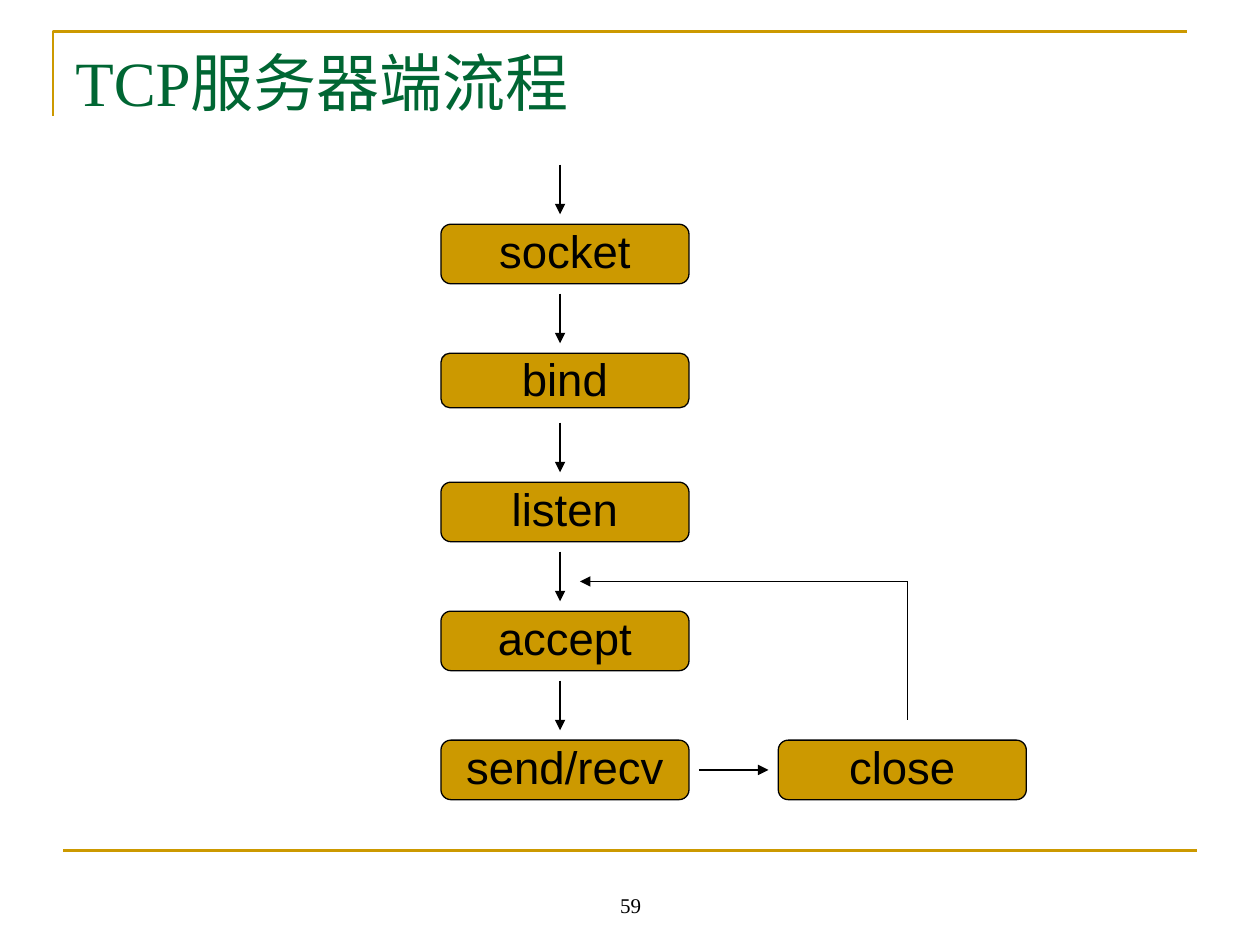
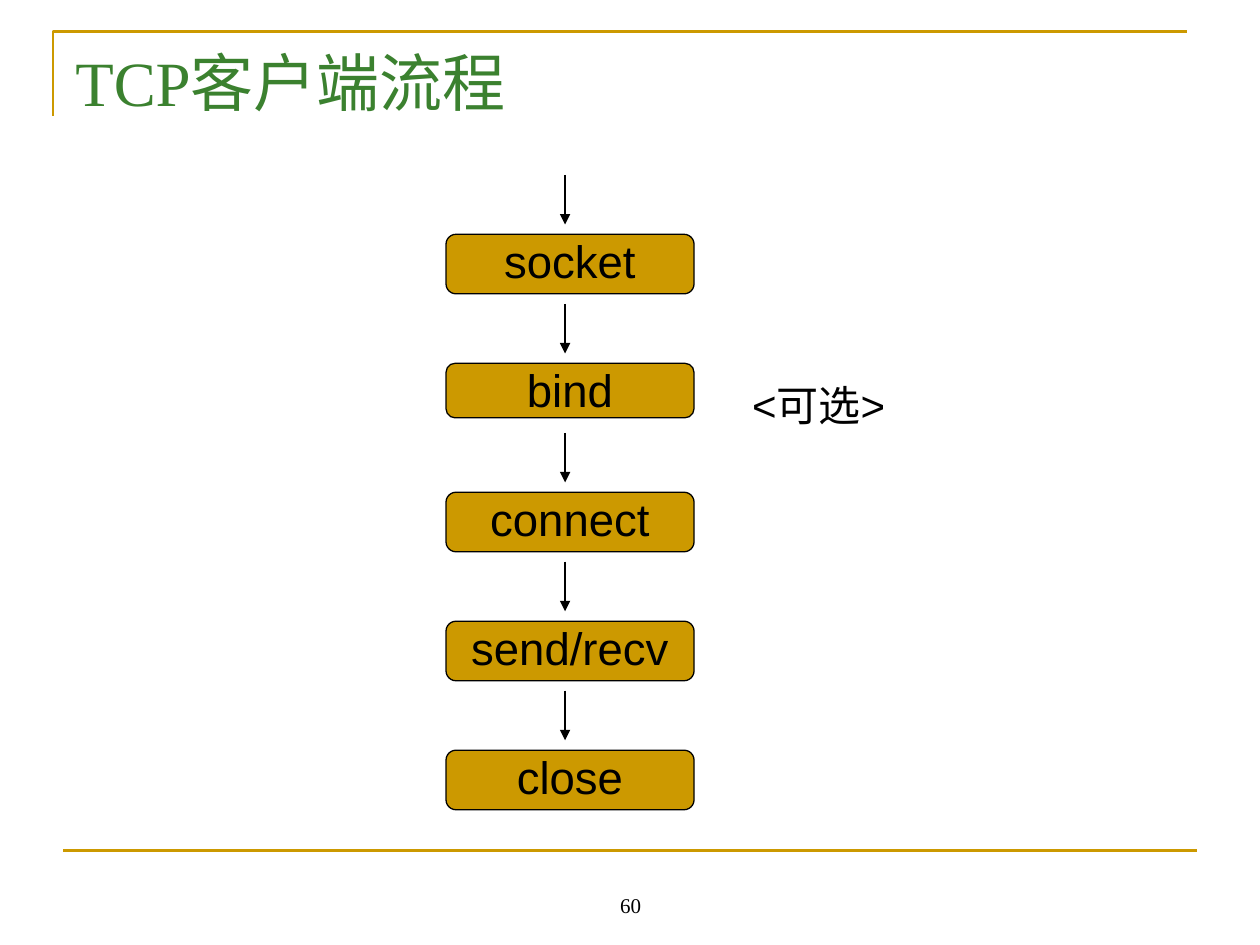
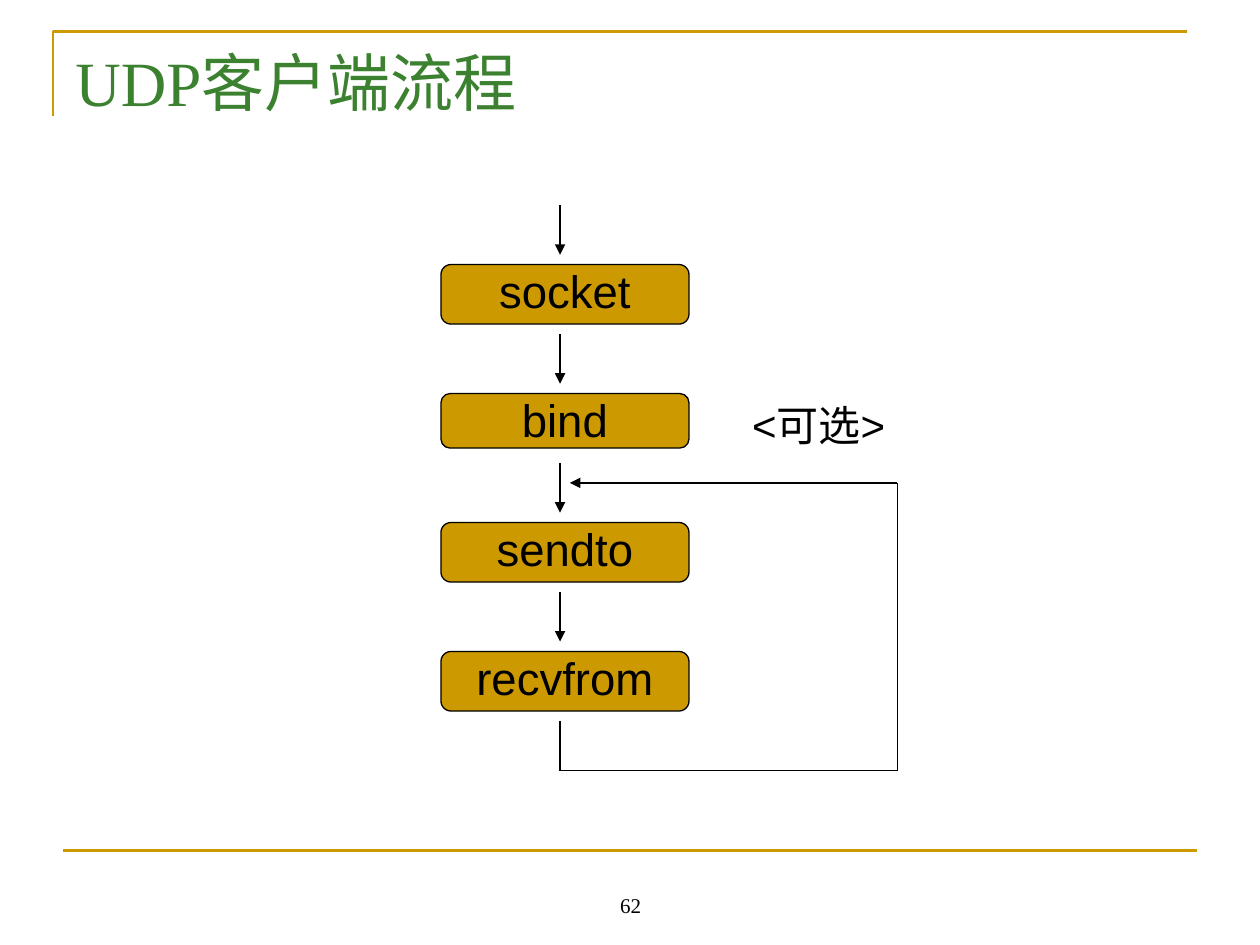
"""Build three slides of socket flow charts on a 2 mm grid."""
from typing import NamedTuple

from lxml import etree
from pptx import Presentation
from pptx.dml.color import RGBColor
from pptx.enum.shapes import MSO_CONNECTOR, MSO_SHAPE
from pptx.enum.text import MSO_ANCHOR, PP_ALIGN
from pptx.oxml.ns import qn
from pptx.util import Inches, Mm, Pt

STRAIGHT = MSO_CONNECTOR.STRAIGHT
STEP = MSO_SHAPE.FLOWCHART_ALTERNATE_PROCESS
TOP, BOTTOM = MSO_ANCHOR.TOP, MSO_ANCHOR.BOTTOM
LEFT, CENTER = PP_ALIGN.LEFT, PP_ALIGN.CENTER

COLORS = {"gold": "CC9900", "ink": "000000", "deep": "006633", "leaf": "3B812F"}
SERIF, SANS = "Times New Roman", "Arial"
WIDTH, HEIGHT = Inches(10), Inches(7.5)
CELL = Mm(2)
PITCH, WIDE, TALL, SHORT, AXIS = 13, 25, 6, 5.5, 12


class Area(NamedTuple):
    left: int
    top: int
    width: int
    height: int


class Style(NamedTuple):
    font: str
    size: int
    color: str
    align: PP_ALIGN = LEFT
    anchor: MSO_ANCHOR = TOP
    before: float = 0
    spacing: float = 1


class Link(NamedTuple):
    """A line between two grid points, in columns and rows from the first step."""
    x1: float
    y1: float
    x2: float
    y2: float
    arrow: bool = False


class Step(NamedTuple):
    text: str
    col: float
    row: float


class Flow(NamedTuple):
    title: str
    tint: str
    page: int
    left: float
    top: float
    steps: tuple[str, ...]
    extra: tuple[Step, ...] = ()
    links: tuple[Link, ...] = ()
    note: float | None = None


BOX = Style(SANS, 26, "ink", CENTER, spacing=0.8)
NOTE = Style(SANS, 24, "ink", before=15)
PAGE = Style(SERIF, 12, "ink", CENTER, BOTTOM)

FLOWS = (
    Flow("TCP服务器端流程", "deep", 59, 3.5, 1.78,
         ("socket", "bind", "listen", "accept", "send/recv"),
         extra=(Step("close", 34, 4 * PITCH),),
         links=(Link(47, 36, 47, 50), Link(26, 55, 33, 55, True),
                Link(47, 36, 14, 36, True))),
    Flow("TCP客户端流程", "leaf", 60, 3.54, 1.86,
         ("socket", "bind", "connect", "send/recv", "close"), note=2.96),
    Flow("UDP客户端流程", "leaf", 62, 3.5, 2.1,
         ("socket", "bind", "sendto", "recvfrom"),
         links=(Link(46, 22, 46, 51), Link(46, 22, 13, 22, True),
                Link(AXIS, 46, AXIS, 51), Link(AXIS, 51, 46, 51)),
         note=3.12),
)


def tone(name: str) -> RGBColor:
    """Look up a colour."""
    return RGBColor.from_string(COLORS[name])


def area(left: float, top: float, width: float, height: float) -> Area:
    """Give a place as shares of a 10 by 7.5 slide."""
    x, y = WIDTH / 10, HEIGHT / 7.5
    return Area(round(left * x), round(top * y), round(width * x), round(height * y))


def write(shape, text: str, style: Style) -> None:
    """Fill a shape with one styled paragraph."""
    frame = shape.text_frame
    frame.word_wrap = True
    frame.vertical_anchor = style.anchor
    frame.margin_left = frame.margin_right = Inches(0.1)
    frame.margin_top = frame.margin_bottom = Inches(0.05)
    para = frame.paragraphs[0]
    para.text = text
    para.alignment = style.align
    para.line_spacing = style.spacing
    para.space_before = Pt(style.before)
    para.font.name, para.font.size = style.font, Pt(style.size)
    para.font.color.rgb = tone(style.color)


def label(slide, text: str, place: Area, style: Style) -> None:
    """Add a text box."""
    write(slide.shapes.add_textbox(*place), text, style)


def line(slide, ends: tuple[int, ...], color: str, width: float,
         arrow: bool = False) -> None:
    """Add a straight line, with an arrowhead if asked."""
    link = slide.shapes.add_connector(STRAIGHT, *ends)
    link.line.color.rgb = tone(color)
    link.line.width = Pt(width)
    if arrow:
        etree.SubElement(link.line._get_or_add_ln(), qn("a:tailEnd"), type="triangle")
    etree.SubElement(link._element.spPr, qn("a:effectLst"))


def frame(slide, flow: Flow) -> None:
    """Draw the corner rule, foot rule, title and page number."""
    x, y, wide, tall = area(0.42, 0.25, 9, 0.67)
    path = slide.shapes.build_freeform(x, y + tall)
    path.add_line_segments([(x, y), (x + wide, y)], close=False)
    rule = path.convert_to_shape()
    rule.shadow.inherit = False
    rule.fill.background()
    rule.line.color.rgb = tone("gold")
    rule.line.width = Pt(1.5)
    x, y, wide, _ = area(0.5, 6.75, 9, 0)
    line(slide, (x, y, x + wide, y), "gold", 1.5)
    label(slide, str(flow.page), area(3.42, 6.83, 3.17, 0.5), PAGE)
    label(slide, flow.title, area(0.5, 0.3, 9, 0.77), Style(SERIF, 36, flow.tint))


def chart(slide, flow: Flow) -> None:
    """Draw the steps, the arrows into them and the other links."""
    left, top, _, _ = area(flow.left, flow.top, 0, 0)
    main = [Step(text, 0, i * PITCH) for i, text in enumerate(flow.steps)]
    for text, col, row in (*main, *flow.extra):
        tall = SHORT if text == "bind" else TALL
        box = slide.shapes.add_shape(STEP, left + round(col * CELL), top + round(row * CELL),
                                     WIDE * CELL, round(tall * CELL))
        box.shadow.inherit = False
        box.fill.solid()
        box.fill.fore_color.rgb = tone("gold")
        box.line.color.rgb = tone("ink")
        box.line.width = Pt(0.75)
        write(box, text, BOX)
    downs = [Link(AXIS, s.row - 6, AXIS, s.row - 1, True) for s in main]
    for x1, y1, x2, y2, arrow in (*downs, *flow.links):
        ends = (left + x1 * CELL, top + y1 * CELL, left + x2 * CELL, top + y2 * CELL)
        line(slide, ends, "ink", 0.75, arrow)
    if flow.note is not None:
        label(slide, "<可选>", area(5.87, flow.note, 2.05, 0.5), NOTE)


def main() -> None:
    """Build and save the slides."""
    deck = Presentation()
    deck.slide_width, deck.slide_height = WIDTH, HEIGHT
    for flow in FLOWS:
        slide = deck.slides.add_slide(deck.slide_layouts[6])
        frame(slide, flow)
        chart(slide, flow)
    deck.save("out.pptx")


if __name__ == "__main__":
    main()
